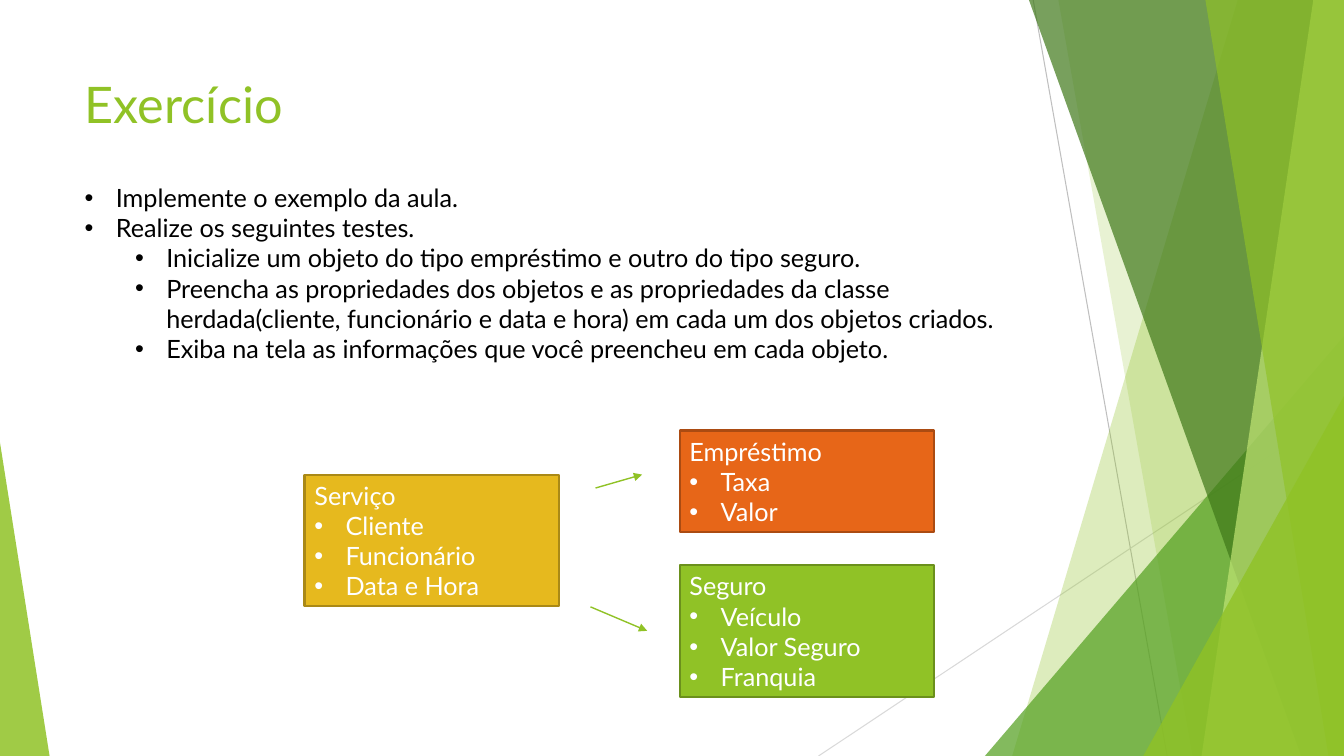
from pptx import Presentation
from pptx.dml.color import RGBColor
from pptx.enum.shapes import MSO_CONNECTOR as Connector, MSO_SHAPE as Shape
from pptx.enum.text import MSO_ANCHOR as Anchor, MSO_AUTO_SIZE as AutoSize, PP_ALIGN as Align
from pptx.oxml.ns import qn
from pptx.util import Inches, Pt
from lxml.etree import SubElement

COLS, ROWS = 32, 18
CELL = Inches(7.5) // ROWS
COLORS = {
    "lime": "90C226", "pale_lime": "C0E474", "green": "54A021", "forest": "3F7819",
    "lime_edge": "6B901C", "gold": "E6B91E", "gold_edge": "AA8916",
    "orange": "E76618", "orange_edge": "AB4B12",
    "gray": "BFBFBF", "light_gray": "D9D9D9", "black": "000000", "white": "FFFFFF",
}


def grid(*cells):
    """Convert grid cells to slide lengths."""
    return [round(cell * CELL) for cell in cells]


def rgb(name):
    """Return the named colour."""
    return RGBColor.from_string(COLORS[name])


def write(frame, items, size=18, color="black", font="Lato", anchor=Anchor.TOP, grow=True):
    """Fill a frame with (text, level) items; a level of None has no bullet."""
    frame.word_wrap = True
    frame.vertical_anchor = anchor
    frame.auto_size = AutoSize.SHAPE_TO_FIT_TEXT if grow else AutoSize.NONE
    for index, (text, level) in enumerate(items):
        paragraph = frame.add_paragraph() if index else frame.paragraphs[0]
        paragraph.alignment = Align.LEFT
        run = paragraph.add_run()
        run.text = text
        run.font.size, run.font.name = Pt(size), font
        run.font.color.rgb = rgb(color)
        if level is not None:
            paragraph.level = level
            properties = paragraph._p.get_or_add_pPr()
            properties.set("marL", str(Inches(0.31 + 0.5 * level)))
            properties.set("indent", str(-Inches(0.31)))
            SubElement(properties, qn("a:buFont"), typeface="Arial")
            SubElement(properties, qn("a:buChar"), char="•")


class Deck:
    """Hold the slide and the style of its elements."""

    def __init__(self):
        """Start a widescreen presentation with a title-only slide."""
        self.file = Presentation()
        self.file.slide_width, self.file.slide_height = grid(COLS, ROWS)
        self.slide = self.file.slides.add_slide(self.file.slide_layouts[5])
        self.shapes = self.slide.shapes

    def title(self, text, *place):
        """Place and format the title."""
        heading = self.shapes.title
        heading.left, heading.top, heading.width, heading.height = grid(*place)
        write(heading.text_frame, [(text, None)], size=36, color="lime", grow=False)

    def paint(self, shape, color, alpha=100, edge=None):
        """Apply fill, transparency and outline."""
        shape.shadow.inherit = False
        shape.fill.solid()
        shape.fill.fore_color.rgb = rgb(color)
        if alpha < 100:
            tint = shape._element.spPr.find(qn("a:solidFill"))[0]
            SubElement(tint, qn("a:alpha"), val=str(alpha * 1000))
        if edge:
            shape.line.color.rgb = rgb(edge)
            shape.line.width = Pt(1.5)
        else:
            shape.line.fill.background()

    def band(self, top_x, bottom_x, color, alpha):
        """Fill from a slanted edge to the right side of the slide."""
        corners = [(COLS, 0), (COLS, ROWS), (bottom_x, ROWS)]
        builder = self.shapes.build_freeform(*grid(top_x, 0), scale=1.0)
        builder.add_line_segments([grid(*corner) for corner in corners], close=True)
        self.paint(builder.convert_to_shape(), color, alpha)

    def wedge(self, left, top, width, peak, color, alpha):
        """Draw a triangle standing on the bottom of the slide."""
        triangle = self.shapes.add_shape(
            Shape.ISOSCELES_TRIANGLE, *grid(left, top, width, ROWS - top))
        triangle.adjustments[0] = peak
        self.paint(triangle, color, alpha)

    def line(self, start, end, color, width, arrow=False):
        """Draw a straight line, with an optional arrowhead."""
        stroke = self.shapes.add_connector(Connector.STRAIGHT, *grid(*start, *end))
        stroke.line.color.rgb = rgb(color)
        stroke.line.width = Pt(width)
        if arrow:
            SubElement(stroke.line._get_or_add_ln(), qn("a:tailEnd"), type="triangle")
        SubElement(stroke._element.spPr, qn("a:effectLst"))

    def class_box(self, left, top, color, name, *fields):
        """Draw a class with its fields, as high as its lines."""
        height = 0.26 + 0.72 * (1 + len(fields))
        box = self.shapes.add_shape(Shape.RECTANGLE, *grid(left, top, 6.05, height))
        self.paint(box, color, edge=color + "_edge")
        items = [(name, None)] + [(field, 0) for field in fields]
        write(box.text_frame, items, color="white", anchor=Anchor.MIDDLE)

    def bullets(self, items, *place):
        """Place a bulleted list."""
        write(self.shapes.add_textbox(*grid(*place)).text_frame, items)


deck = Deck()
deck.line((24.6, 0), (27.79, ROWS), "gray", 0.75)
deck.line((COLS, 9.67), (19.49, ROWS), "light_gray", 0.75)
deck.band(29.47, 24.1, "lime", 30)
deck.band(25.2, 28.39, "lime", 20)
deck.wedge(23.45, 8, COLS - 23.45, 1, "green", 72)
deck.band(24.5, 30.98, "forest", 70)
deck.band(31.27, 28.61, "pale_lime", 70)
deck.band(28.7, 31.63, "lime", 65)
deck.wedge(27.22, 9.43, COLS - 27.22, 1, "lime", 80)
deck.wedge(0, 10.54, 1.18, 0, "lime", 85)

deck.title("Exercício", 1.78, 1.61, 22.56, 3.46)
deck.class_box(7.25, 11.3, "gold", "Serviço", "Cliente", "Funcionário", "Data e Hora")
deck.class_box(16.18, 10.25, "orange", "Empréstimo", "Taxa", "Valor")
deck.class_box(16.18, 13.46, "lime", "Seguro", "Veículo", "Valor Seguro", "Franquia")
deck.line((14.18, 11.62), (15.29, 11.3), "lime", 1, arrow=True)
deck.line((14.06, 14.45), (15.41, 15.02), "lime", 1, arrow=True)
deck.bullets([
    ("Implemente o exemplo da aula.", 0),
    ("Realize os seguintes testes.", 0),
    ("Inicialize um objeto do tipo empréstimo e outro do tipo seguro.", 1),
    ("Preencha as propriedades dos objetos e as propriedades da classe "
     "herdada(cliente, funcionário e data e hora) em cada um dos objetos criados.", 1),
    ("Exiba na tela as informações que você preencheu em cada objeto.", 1),
], 1.78, 4.22, 23.45, 4.61)
deck.file.save("out.pptx")
